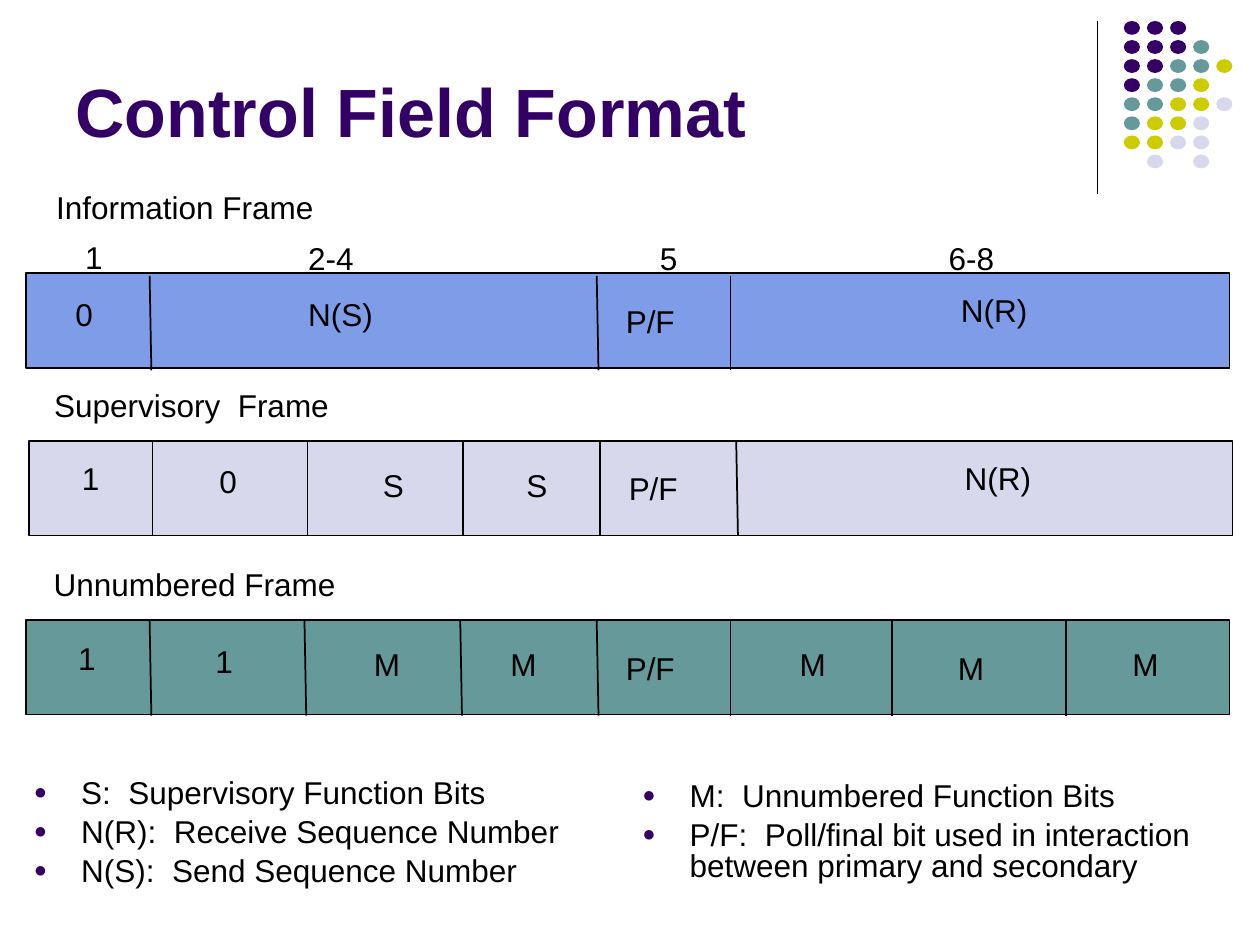
from dataclasses import dataclass

from lxml.etree import SubElement
from pptx import Presentation
from pptx.dml.color import RGBColor
from pptx.enum.shapes import MSO_CONNECTOR, MSO_SHAPE
from pptx.enum.text import MSO_ANCHOR, MSO_AUTO_SIZE, PP_ALIGN
from pptx.oxml.ns import qn
from pptx.util import Pt


@dataclass(frozen=True)
class Theme:
    font: str = "Arial"
    title_size: float = 39
    text_size: float = 18
    ink: str = "000000"
    purple: str = "330066"
    teal: str = "669999"
    olive: str = "CCCC00"
    lavender: str = "D8D8EC"
    blue: str = "7E9CE8"


@dataclass(frozen=True)
class Label:
    """Text whose place is measured from the top left of its frame's bar."""
    text: str
    x: float
    y: float


@dataclass(frozen=True)
class Divider:
    x: float
    lean: float = 0


@dataclass(frozen=True)
class Frame:
    left: float
    top: float
    fill: str
    dividers: tuple[Divider, ...]
    divider_drop: float
    labels: tuple[Label, ...]


THEME = Theme()
BAR_WIDTH, BAR_HEIGHT = 687.6, 54
LABEL_HEIGHT = 28.8
LABEL_WIDTHS = {
    "0": 27, "1": 27, "5": 27, "2-4": 43, "6-8": 43,
    "S": 29, "M": 32, "P/F": 46, "N(S)": 56, "N(R)": 57,
    "Information Frame": 170, "Supervisory  Frame": 180, "Unnumbered Frame": 185,
}

FRAMES = (
    Frame(15, 156.2, THEME.blue,
          (Divider(70.5, 1), Divider(326, 1), Divider(402.5)), 1.4,
          (Label("Information Frame", 10, -52.3),
           Label("1", 26.6, -23.8), Label("2-4", 154, -23),
           Label("5", 355, -23), Label("6-8", 520, -23),
           Label("0", 21, 8.6), Label("N(S)", 154, 8.6),
           Label("P/F", 335.5, 13), Label("N(R)", 527, 6.5))),
    Frame(16.7, 252, THEME.lavender,
          (Divider(70.5), Divider(159), Divider(248), Divider(326),
           Divider(404, 1)), 0,
          (Label("Supervisory  Frame", 7.2, -34.9),
           Label("1", 23, 6.5), Label("0", 101.5, 8.6),
           Label("S", 195, 10.8), Label("S", 277, 10.8),
           Label("P/F", 335.5, 12.7), Label("N(R)", 527.5, 6.5))),
    Frame(15, 354.3, THEME.teal,
          (Divider(70.5, 1), Divider(159, 1), Divider(248, 1), Divider(326, 1),
           Divider(402.5), Divider(494.6), Divider(594)), 0.7,
          (Label("Unnumbered Frame", 8.6, -35),
           Label("1", 22.6, 7.2), Label("1", 101, 9),
           Label("M", 191.5, 10.8), Label("M", 269.6, 10.8),
           Label("P/F", 335.5, 13), Label("M", 434.9, 10.8),
           Label("M", 525.3, 13), Label("M", 625, 10.8))),
)

DOT_ROWS = ("PPP", "PPPT", "PPTTO", "PTTO", "TTOOL", "TOOL", "OOLL", " L L")
DOT_COLOURS = {"P": THEME.purple, "T": THEME.teal,
               "O": THEME.olive, "L": THEME.lavender}

LEFT_NOTES = ("S:  Supervisory Function Bits",
              "N(R):  Receive Sequence Number",
              "N(S):  Send Sequence Number")
RIGHT_NOTES = ("M:  Unnumbered Function Bits",
               "P/F:  Poll/final bit used in interaction between primary and secondary")


def place(shape, left: float, top: float, width: float, height: float) -> None:
    shape.left, shape.top = Pt(left), Pt(top)
    shape.width, shape.height = Pt(width), Pt(height)


def write_text(paragraph, text: str, *, size: float = THEME.text_size,
               colour: str = THEME.ink, bold: bool = False) -> None:
    paragraph.text = text
    paragraph.alignment = PP_ALIGN.LEFT
    font = paragraph.font
    font.name, font.size, font.bold = THEME.font, Pt(size), bold
    font.color.rgb = RGBColor.from_string(colour)


def add_bullet(paragraph) -> None:
    properties = paragraph._p.get_or_add_pPr()
    properties.set("marL", str(Pt(27)))
    properties.set("indent", str(-Pt(27)))
    colour = SubElement(properties, qn("a:buClr"))
    SubElement(colour, qn("a:srgbClr"), val=THEME.purple)
    SubElement(properties, qn("a:buSzPct"), val="70000")
    SubElement(properties, qn("a:buFont"), typeface=THEME.font)
    SubElement(properties, qn("a:buChar"), char="●")


def write_notes(shape, notes: tuple[str, ...]) -> None:
    frame = shape.text_frame
    frame.word_wrap = True
    frame.auto_size = MSO_AUTO_SIZE.NONE
    frame.vertical_anchor = MSO_ANCHOR.TOP
    frame.margin_top = Pt(29.5)
    for index, note in enumerate(notes):
        paragraph = frame.add_paragraph() if index else frame.paragraphs[0]
        add_bullet(paragraph)
        write_text(paragraph, note)
        paragraph.line_spacing = 0.82
        paragraph.space_before = Pt(4.5 if index else 0)


def add_line(slide, start: tuple[float, float], end: tuple[float, float],
             width: float = 1) -> None:
    line = slide.shapes.add_connector(
        MSO_CONNECTOR.STRAIGHT, *(Pt(value) for value in start + end))
    line.line.color.rgb = RGBColor.from_string(THEME.ink)
    line.line.width = Pt(width)
    SubElement(line._element.spPr, qn("a:effectLst"))


def add_filled(slide, kind, box: tuple[float, float, float, float], fill: str):
    shape = slide.shapes.add_shape(kind, *(Pt(value) for value in box))
    shape.shadow.inherit = False
    shape.fill.solid()
    shape.fill.fore_color.rgb = RGBColor.from_string(fill)
    shape.line.fill.background()
    return shape


def add_label(slide, text: str, left: float, top: float) -> None:
    box = slide.shapes.add_textbox(
        Pt(left), Pt(top), Pt(LABEL_WIDTHS[text]), Pt(LABEL_HEIGHT))
    box.text_frame.word_wrap = True
    box.text_frame.auto_size = MSO_AUTO_SIZE.NONE
    write_text(box.text_frame.paragraphs[0], text)


def draw_frame(slide, frame: Frame) -> None:
    bar = add_filled(slide, MSO_SHAPE.RECTANGLE,
                     (frame.left, frame.top, BAR_WIDTH, BAR_HEIGHT), frame.fill)
    bar.line.color.rgb = RGBColor.from_string(THEME.ink)
    bar.line.width = Pt(1)
    top = frame.top + frame.divider_drop
    for divider in frame.dividers:
        x = frame.left + divider.x
        add_line(slide, (x, top), (x + divider.lean, top + BAR_HEIGHT))
    for label in frame.labels:
        add_label(slide, label.text, frame.left + label.x, frame.top + label.y)


def draw_corner_dots(slide) -> None:
    add_line(slide, (627, 12), (627, 111), width=0.75)
    for row, codes in enumerate(DOT_ROWS):
        for column, code in enumerate(codes):
            if code in DOT_COLOURS:
                box = (642.2 + 13.2 * column, 12 + 10.9 * row, 9.2, 7.9)
                add_filled(slide, MSO_SHAPE.OVAL, box, DOT_COLOURS[code])


def main() -> None:
    presentation = Presentation()
    presentation.slide_width, presentation.slide_height = Pt(720), Pt(540)
    slide = presentation.slides.add_slide(presentation.slide_layouts[1])

    draw_corner_dots(slide)
    title, body = slide.placeholders
    place(title, 36, 9.4, 594, 80.6)
    title.text_frame.vertical_anchor = MSO_ANCHOR.BOTTOM
    title.text_frame.auto_size = MSO_AUTO_SIZE.NONE
    write_text(title.text_frame.paragraphs[0], "Control Field Format",
               size=THEME.title_size, colour=THEME.purple, bold=True)

    for frame in FRAMES:
        draw_frame(slide, frame)

    place(body, 12.2, 416.2, 347.8, 104.4)
    write_notes(body, LEFT_NOTES)
    right_notes = slide.shapes.add_textbox(Pt(360), Pt(417.6), Pt(336.2), Pt(94.3))
    write_notes(right_notes, RIGHT_NOTES)
    presentation.save("out.pptx")


if __name__ == "__main__":
    main()
